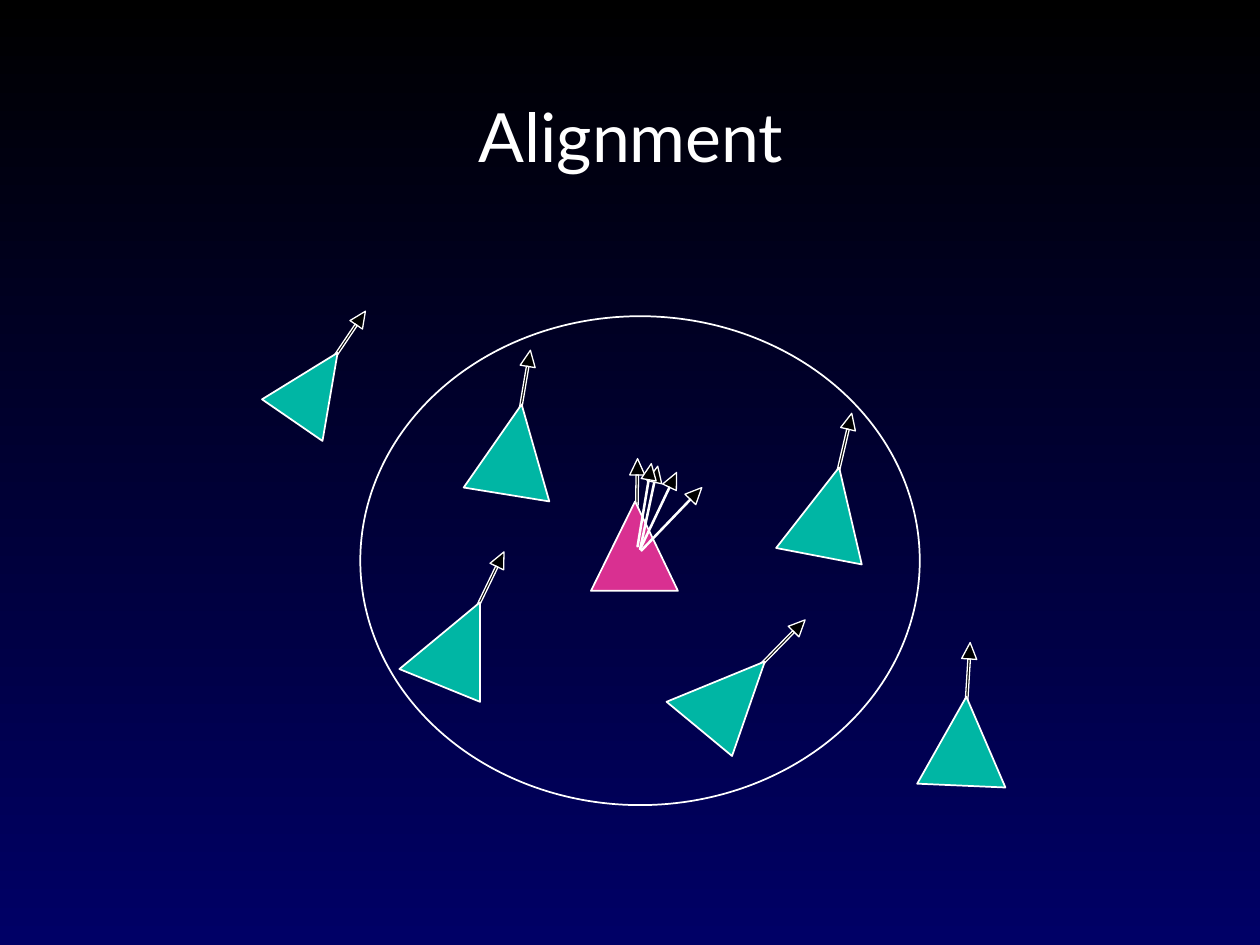
"""Build the Alignment slide: a flock of birds with their headings."""
from dataclasses import dataclass
from math import hypot

from pptx import Presentation
from pptx.dml.color import RGBColor as Rgb
from pptx.enum.shapes import MSO_SHAPE as Preset
from pptx.enum.text import MSO_ANCHOR as Anchor, MSO_AUTO_SIZE as Fit, PP_ALIGN as Align
from pptx.shapes.base import BaseShape as Shape
from pptx.slide import Slide
from pptx.util import Inches, Pt

Point = tuple[float, float]

HUES = {"black": "000000", "navy": "000066", "white": "FFFFFF",
        "teal": "00B6A4", "pink": "D93091"}
HEAD = 0.13
WING = 0.06


@dataclass(frozen=True)
class Arrow:
    tail: Point
    tip: Point
    width: float = 0.02


@dataclass(frozen=True)
class Bird:
    points: list[Point]
    hue: str
    arrow: Arrow


BIRDS = [
    Bird([(5.04, 3.98), (4.69, 4.69), (5.38, 4.69)], "pink", Arrow((5.05, 4.32), (5.06, 3.64))),
    Bird([(2.68, 2.8), (2.08, 3.17), (2.56, 3.5)], "teal", Arrow((2.57, 2.96), (2.9, 2.47))),
    Bird([(7.67, 5.53), (7.28, 6.22), (7.98, 6.25)], "teal", Arrow((7.66, 5.75), (7.7, 5.1))),
    Bird([(6.07, 5.25), (5.29, 5.57), (5.81, 6)], "teal", Arrow((5.91, 5.41), (6.39, 4.92))),
    Bird([(3.81, 4.78), (3.17, 5.31), (3.81, 5.57)], "teal", Arrow((3.71, 4.98), (4, 4.38))),
    Bird([(6.66, 3.71), (6.16, 4.35), (6.84, 4.48)], "teal", Arrow((6.61, 3.92), (6.76, 3.28))),
    Bird([(4.14, 3.21), (3.68, 3.87), (4.36, 3.98)], "teal", Arrow((4.1, 3.43), (4.21, 2.78))),
]
FAN = [
    Arrow((5.08, 4.36), (5.37, 3.75), 0.01),
    Arrow((5.08, 4.36), (5.22, 3.7), 0.01),
    Arrow((5.06, 4.34), (5.17, 3.68), 0.01),
    Arrow((5.09, 4.37), (5.57, 3.87), 0.01),
]


def tint(name: str) -> Rgb:
    """Return a named colour."""
    return Rgb.from_string(HUES[name])


def style(shape: Shape, hue: str | None, weight: float) -> None:
    """Set the fill and the white outline of a shape."""
    shape.shadow.inherit = False
    if hue:
        shape.fill.solid()
        shape.fill.fore_color.rgb = tint(hue)
    else:
        shape.fill.background()
    shape.line.color.rgb = tint("white")
    shape.line.width = Pt(weight)


def draw_paths(slide: Slide, paths: list[list[Point]], hue: str, weight: float) -> None:
    """Draw closed outlines as one shape."""
    first, *rest = [[(Inches(x), Inches(y)) for x, y in path] for path in paths]
    pen = slide.shapes.build_freeform(*first[0])
    pen.add_line_segments(first[1:], close=True)
    for path in rest:
        pen.move_to(*path[0])
        pen.add_line_segments(path[1:], close=True)
    style(pen.convert_to_shape(), hue, weight)


def draw_arrow(slide: Slide, arrow: Arrow) -> None:
    """Draw a thin shaft and a head along the line from tail to tip."""
    (x, y), (tip_x, tip_y) = arrow.tail, arrow.tip
    size = hypot(tip_x - x, tip_y - y)
    dx, dy = (tip_x - x) / size, (tip_y - y) / size

    def place(along: float, off: float) -> Point:
        """Return the point at a length along and off the line."""
        return x + along * dx - off * dy, y + along * dy + off * dx

    neck, half = size - HEAD, arrow.width / 2
    shaft = [place(0, -half), place(neck, -half), place(neck, half), place(0, half)]
    head = [place(neck, -WING), arrow.tip, place(neck, WING)]
    draw_paths(slide, [shaft, head], "black", 0.75)


def draw_bird(slide: Slide, bird: Bird) -> None:
    """Draw a bird over the tail of its arrow."""
    draw_arrow(slide, bird.arrow)
    draw_paths(slide, [bird.points], bird.hue, 1)


def draw_ring(slide: Slide) -> None:
    """Draw the range of sight."""
    ring = slide.shapes.add_shape(Preset.OVAL, Inches(2.86), Inches(2.51),
                                  Inches(4.44), Inches(3.88))
    style(ring, None, 1)


def write_title(slide: Slide, text: str, *, font: str, size: float, pitch: float) -> None:
    """Place and format the title."""
    title = slide.shapes.title
    title.left, title.top = Inches(3.8), Inches(0.83)
    title.width, title.height = Inches(2.48), Inches(0.56)
    frame = title.text_frame
    frame.text = text
    frame.auto_size = Fit.NONE
    frame.word_wrap = True
    frame.vertical_anchor = Anchor.TOP
    frame.margin_left = frame.margin_right = frame.margin_top = frame.margin_bottom = 0
    line = frame.paragraphs[0]
    line.alignment = Align.LEFT
    line.line_spacing = Pt(pitch)
    line.space_before = Pt(0)
    face = line.runs[0].font
    face.name, face.size = font, Pt(size)
    face.color.rgb = tint("white")


def paint_back(slide: Slide) -> None:
    """Shade the background from black down to navy."""
    fill = slide.background.fill
    fill.gradient()
    fill.gradient_angle = 270
    for stop, spot, hue in zip(fill.gradient_stops, (0, 1), ("black", "navy")):
        stop.position = spot
        stop.color.rgb = tint(hue)


def main() -> None:
    """Build and save the deck."""
    deck = Presentation()
    deck.slide_width, deck.slide_height = Inches(10), Inches(7.5)
    slide = deck.slides.add_slide(deck.slide_layouts[5])
    paint_back(slide)
    write_title(slide, "Alignment", font="Lato", size=38.8, pitch=40.6)
    draw_ring(slide)
    for bird in BIRDS:
        draw_bird(slide, bird)
    for arrow in FAN:
        draw_arrow(slide, arrow)
    deck.save("out.pptx")


if __name__ == "__main__":
    main()
